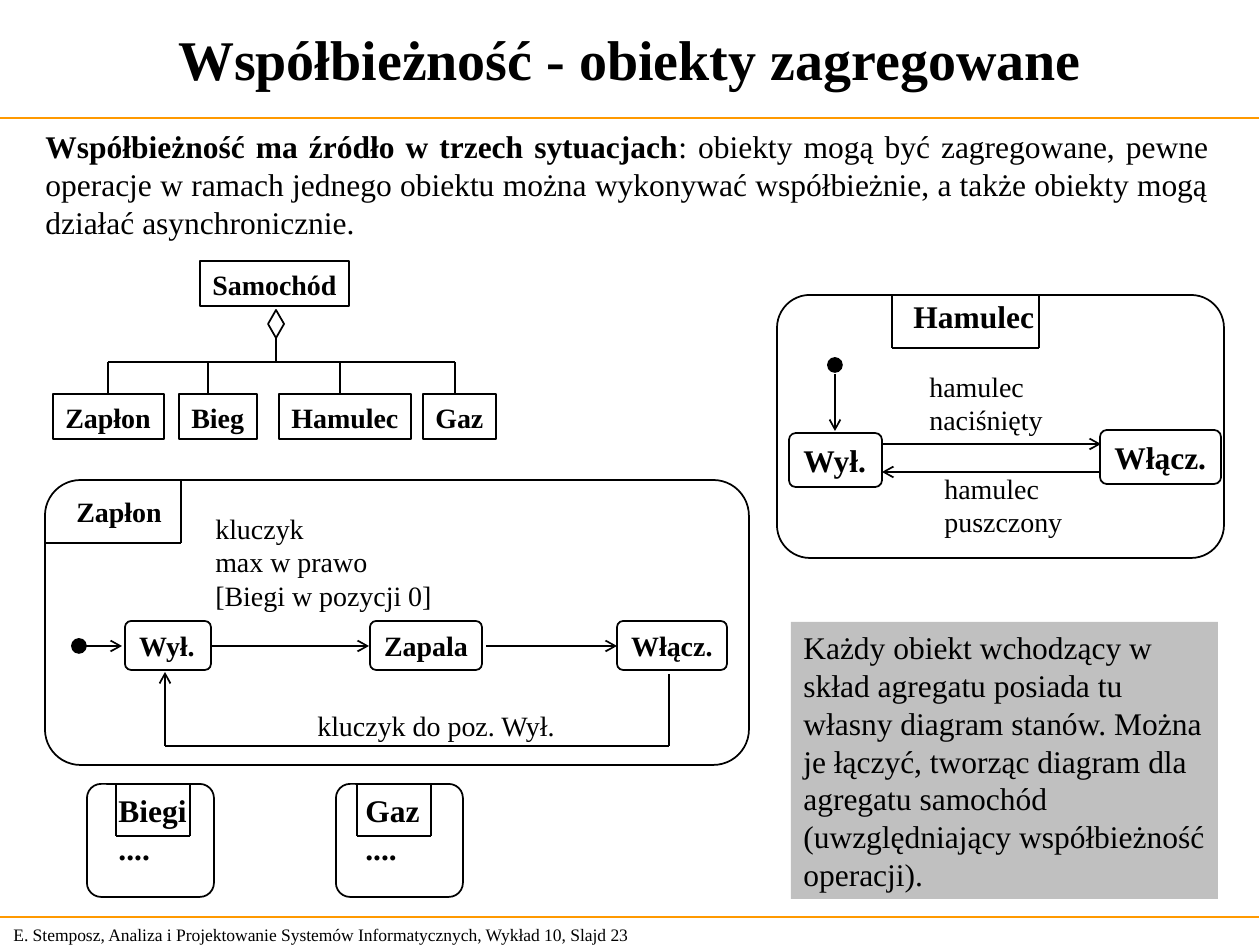
from lxml import etree
from pptx import Presentation
from pptx import util as u
from pptx.dml.color import RGBColor
from pptx.enum import shapes, text
from pptx.oxml.ns import qn

SCALE = u.Inches(1) / 126  # EMU per px
FONT = "Times New Roman"
COLORS = {"ink": "000000", "rule": "FF9900", "note": "C0C0C0"}
KIND = shapes.MSO_SHAPE
ALIGN = text.PP_ALIGN
ANCHOR = text.MSO_ANCHOR


def px(length):
    return u.Emu(round(length * SCALE))


def color(name):
    return RGBColor.from_string(COLORS[name])


def write(shape, paragraphs, size=16, bold=False, align=ALIGN.LEFT,
          anchor=ANCHOR.TOP, wrap=False):
    """Fill a shape with paragraphs: each a string or a list of (string, bold)."""
    frame = shape.text_frame
    frame.word_wrap = wrap
    frame.auto_size = text.MSO_AUTO_SIZE.NONE
    frame.vertical_anchor = anchor
    for index, content in enumerate(paragraphs):
        para = frame.add_paragraph() if index else frame.paragraphs[0]
        para.alignment = align
        spans = [(content, bold)] if isinstance(content, str) else content
        for words, heavy in spans:
            span = para.add_run()
            span.text = words
            span.font.name = FONT
            span.font.size = u.Pt(size)
            span.font.bold = heavy
            span.font.color.rgb = color("ink")


def add_text(page, bounds, *paragraphs, **style):
    write(page.shapes.add_textbox(*map(px, bounds)), paragraphs, **style)


def add_box(page, bounds, label=None, kind=KIND.RECTANGLE, fill=None,
            outline=True, **style):
    box = page.shapes.add_shape(kind, *map(px, bounds))
    box.shadow.inherit = False
    if kind == KIND.ROUNDED_RECTANGLE:
        box.adjustments[0] = 0.125
    if fill:
        box.fill.solid()
        box.fill.fore_color.rgb = color(fill)
    else:
        box.fill.background()
    if outline:
        box.line.color.rgb = color("ink")
        box.line.width = u.Pt(1)
    else:
        box.line.fill.background()
    if label:
        write(box, [label], **style)


def add_rounded(page, bounds, label=None, **style):
    add_box(page, bounds, label, kind=KIND.ROUNDED_RECTANGLE, **style)


def add_dot(page, x, y):
    add_box(page, (x - 7, y - 7, 14, 14), kind=KIND.OVAL, fill="ink")


def add_line(page, *points, width=1, ink="ink", arrow=False):
    """Join the points with straight lines; an arrow ends the last one."""
    for start, end in zip(points, points[1:]):
        line = page.shapes.add_connector(
            shapes.MSO_CONNECTOR.STRAIGHT, *map(px, start + end))
        line.line.color.rgb = color(ink)
        line.line.width = u.Pt(width)
        properties = line._element.spPr
        if arrow and end == points[-1]:
            etree.SubElement(properties.find(qn("a:ln")), qn("a:tailEnd"), type="arrow")
        etree.SubElement(properties, qn("a:effectLst"))


def draw_heading(page):
    for y in (118, 917):
        add_line(page, (-1, y), (1259, y), width=0.75, ink="rule")
    add_text(page, (1, 917, 660, 34),
             "E. Stemposz, Analiza i Projektowanie Systemów Informatycznych, Wykład 10, Slajd 23",
             size=10, anchor=ANCHOR.MIDDLE, wrap=True)
    add_text(page, (5, 5, 1250, 107), "Współbieżność - obiekty zagregowane",
             size=32, bold=True, align=ALIGN.CENTER, anchor=ANCHOR.MIDDLE, wrap=True)
    add_text(page, (33, 121, 1188, 126), [
        ("Współbieżność ma źródło w trzech sytuacjach", True),
        (": obiekty mogą być zagregowane, pewne operacje w ramach jednego obiektu można "
         "wykonywać współbieżnie, a także obiekty mogą działać asynchronicznie.", False),
    ], size=18, align=ALIGN.JUSTIFY, wrap=True)


def draw_aggregate(page):
    bus = 362
    add_box(page, (200, 261, 149, 45), "Samochód", bold=True)
    add_box(page, (268, 310, 16, 28), kind=KIND.DIAMOND)
    add_line(page, (276, 338), (276, bus))
    add_line(page, (108, bus), (455, bus))
    for label, left, width, drop in (("Zapłon", 53, 111, 108), ("Bieg", 179, 78, 208),
                                     ("Hamulec", 279, 132, 340), ("Gaz", 423, 73, 455)):
        add_box(page, (left, 394, width, 45), label, bold=True)
        add_line(page, (drop, bus), (drop, 393))


def draw_ignition(page):
    axis = 646
    add_rounded(page, (45, 480, 704, 285))
    add_text(page, (64, 488, 111, 45), "Zapłon", bold=True)
    add_line(page, (45, 543), (181, 543), (181, 480), width=0.75)
    add_dot(page, 79, axis)
    for label, left, width in (("Wył.", 125, 86), ("Zapala", 370, 112), ("Włącz.", 617, 110)):
        add_rounded(page, (left, 621, width, 49), label, bold=True)
    for start, end in ((82, 122), (211, 369), (486, 617)):
        add_line(page, (start, axis), (end, axis), arrow=True)
    add_line(page, (669, 674), (669, 746), (165, 746), (165, 672), arrow=True)
    add_text(page, (203, 505, 242, 113), "kluczyk", "max w prawo", "[Biegi w pozycji 0]")
    add_text(page, (305, 702, 265, 45), "kluczyk do poz. Wył.")


def draw_brake(page):
    add_rounded(page, (777, 295, 447, 263))
    add_text(page, (901, 291, 146, 50), "Hamulec", size=18, bold=True)
    add_line(page, (892, 295), (892, 348), (1039, 348), (1039, 295), width=0.75)
    add_dot(page, 835, 365)
    add_rounded(page, (789, 433, 93, 54), "Wył.", size=18, bold=True)
    add_rounded(page, (1100, 430, 121, 54), "Włącz.", size=18, bold=True)
    for start, end in (((835, 374), (835, 431)), ((883, 444), (1101, 444)),
                       ((1099, 472), (882, 472))):
        add_line(page, start, end, arrow=True)
    add_text(page, (917, 363, 139, 79), "hamulec", "naciśnięty")
    add_text(page, (932, 465, 142, 79), "hamulec", "puszczony")


def draw_stubs(page):
    for label, left, tab, text_left, width in (("Biegi", 87, 116, 106, 93),
                                               ("Gaz", 336, 357, 353, 79)):
        add_rounded(page, (left, 784, 127, 113))
        add_text(page, (text_left, 785, width, 88), label, "....", size=18, bold=True)
        add_line(page, (tab, 784), (tab, 836), (tab + 74, 836), (tab + 74, 784), width=0.75)


def draw_note(page):
    add_box(page, (791, 622, 427, 277),
            "Każdy obiekt wchodzący w skład agregatu posiada tu własny diagram stanów. "
            "Można je łączyć, tworząc diagram dla agregatu samochód (uwzględniający "
            "współbieżność operacji).",
            fill="note", outline=False, size=18, wrap=True)


def main():
    deck = Presentation()
    deck.slide_width, deck.slide_height = px(1260), px(945)
    page = deck.slides.add_slide(deck.slide_layouts[6])
    draw_heading(page)
    draw_aggregate(page)
    draw_ignition(page)
    draw_brake(page)
    draw_stubs(page)
    draw_note(page)
    deck.save("out.pptx")


if __name__ == "__main__":
    main()
